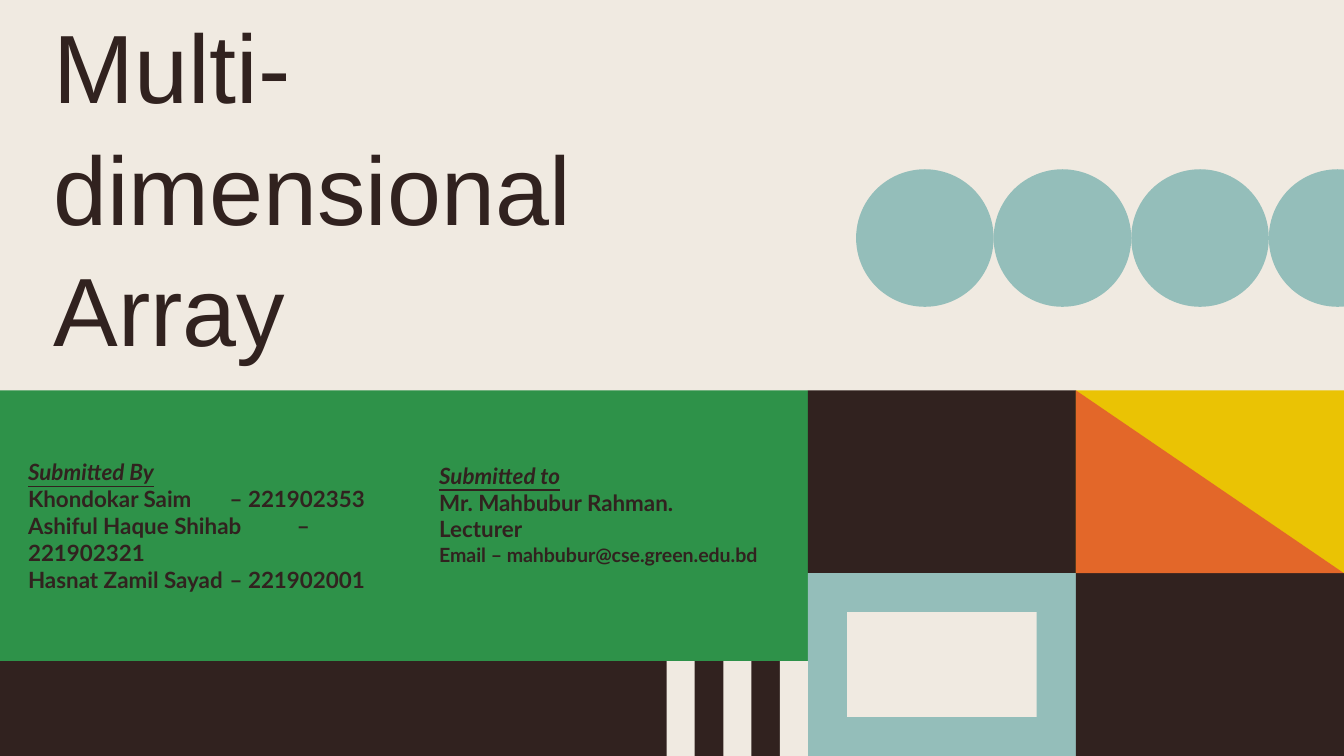
"""Build the title slide of a talk on multi-dimensional arrays."""
from typing import NamedTuple

from lxml.etree import SubElement
from pptx import Presentation
from pptx.dml.color import RGBColor
from pptx.enum.shapes import MSO_SHAPE as Kind
from pptx.enum.text import MSO_ANCHOR as Anchor, MSO_AUTO_SIZE as Fit, PP_ALIGN as Align
from pptx.oxml.ns import qn
from pptx.util import Cm, Pt

CREAM = RGBColor(0xF0, 0xEA, 0xE1)
DARK = RGBColor(0x31, 0x22, 0x1F)
GREEN = RGBColor(0x2E, 0x92, 0x49)
TEAL = RGBColor(0x94, 0xBE, 0xBA)
GOLD = RGBColor(0xEA, 0xC3, 0x04)
RUST = RGBColor(0xE3, 0x67, 0x29)

WIDE, HIGH = 25.4, 14.29
MID, TOP = 15.27, 7.38
BASE = 12.5
CELL_W, CELL_H = (WIDE - MID) / 2, (HIGH - TOP) / 2
BALL = 2.6
BAR, STEP = 0.53, 1.07
PANE_W, PANE_H = 3.58, 1.98
TAB = 4.11


class Box(NamedTuple):
    left: float
    top: float
    width: float
    height: float


class Part(NamedTuple):
    box: Box
    fill: RGBColor
    kind: Kind = Kind.RECTANGLE


class Line(NamedTuple):
    text: str
    form: dict


BODY = {"name": "Lato", "size": Pt(12), "bold": True, "italic": False, "underline": False}
HEAD = BODY | {"italic": True, "underline": True}
MAIL = BODY | {"size": Pt(10.5)}
TITLE = {"name": "Arial", "size": Pt(52), "bold": False}


def apply(item, form: dict) -> None:
    """Set each named attribute on the item."""
    for name, value in form.items():
        setattr(item, name, value)


def place(box: Box) -> dict:
    """Turn a box in centimetres into position attributes."""
    return {name: Cm(value) for name, value in box._asdict().items()}


def cell(col: int, row: int) -> Box:
    """Give one cell of the two by two grid."""
    return Box(MID + col * CELL_W, TOP + row * CELL_H, CELL_W, CELL_H)


def draw(slide, part: Part) -> None:
    """Draw a flat shape without outline or shadow."""
    shape = slide.shapes.add_shape(part.kind, *place(part.box).values())
    shape.shadow.inherit = False
    shape.fill.solid()
    shape.fill.fore_color.rgb = part.fill
    shape.line.fill.background()


def write(shape, box: Box, lines: list[Line], anchor: Anchor, space: float = 1.0) -> None:
    """Move a text shape and fill it with formatted lines."""
    apply(shape, place(box))
    frame = shape.text_frame
    sides = {f"margin_{side}": Cm(0.25) for side in ("left", "top", "right", "bottom")}
    apply(frame, sides | {"word_wrap": True, "auto_size": Fit.NONE, "vertical_anchor": anchor})
    frame.text = "\n".join(line.text for line in lines)
    for para, line in zip(frame.paragraphs, lines):
        apply(para, {"alignment": Align.LEFT, "line_spacing": space,
                     "space_before": Pt(0), "space_after": Pt(0)})
        if "\t" in line.text:
            tabs = SubElement(para._p.get_or_add_pPr(), qn("a:tabLst"))
            SubElement(tabs, qn("a:tab"), pos=str(Cm(TAB)), algn="l")
        for run in para.runs:
            apply(run.font, line.form)
            run.font.color.rgb = DARK


def main() -> None:
    """Lay out the slide and save it."""
    deck = Presentation()
    apply(deck, {"slide_width": Cm(WIDE), "slide_height": Cm(HIGH)})
    slide = deck.slides.add_slide(deck.slide_layouts[0])
    slide.background.fill.solid()
    slide.background.fill.fore_color.rgb = CREAM

    pane = cell(0, 1)
    parts = [
        Part(Box(0, TOP, MID, BASE - TOP), GREEN),
        Part(Box(0, BASE, MID, HIGH - BASE), DARK),
        Part(cell(0, 0), DARK),
        Part(pane, TEAL),
        Part(cell(1, 0), GOLD),
        Part(cell(1, 1), DARK),
        Part(cell(1, 0), RUST, Kind.RIGHT_TRIANGLE),
        Part(Box(pane.left + (CELL_W - PANE_W) / 2, pane.top + (CELL_H - PANE_H) / 2,
                 PANE_W, PANE_H), CREAM),
    ]
    parts += [Part(Box(MID - BAR - i * STEP, BASE, BAR, HIGH - BASE), CREAM) for i in range(3)]
    parts += [Part(Box(16.18 + i * BALL, 3.2, BALL, BALL), TEAL, Kind.OVAL) for i in range(4)]
    for part in parts:
        draw(slide, part)

    title, team = slide.placeholders
    for item in (title, team):
        slide.shapes._spTree.append(item._element)
    host = slide.shapes.add_textbox(0, 0, 0, 0)

    write(title, Box(0.76, 1.8, 14.73, 5.36),
          [Line("Multi-dimensional\vArray", TITLE)], Anchor.BOTTOM, 1.04)
    write(team, Box(0.28, 8.41, 7.75, 2.74), [
        Line("Submitted By", HEAD),
        Line("Khondokar Saim\t– 221902353", BODY),
        Line("Ashiful Haque Shihab\t– 221902321", BODY),
        Line("Hasnat Zamil Sayad\t– 221902001", BODY),
    ], Anchor.TOP)
    write(host, Box(8.05, 8.48, 8.51, 2.74), [
        Line("Submitted to", HEAD),
        Line("Mr. Mahbubur Rahman.", BODY),
        Line("Lecturer", BODY),
        Line("Email – mahbubur@cse.green.edu.bd", MAIL),
    ], Anchor.TOP)
    deck.save("out.pptx")


if __name__ == "__main__":
    main()
